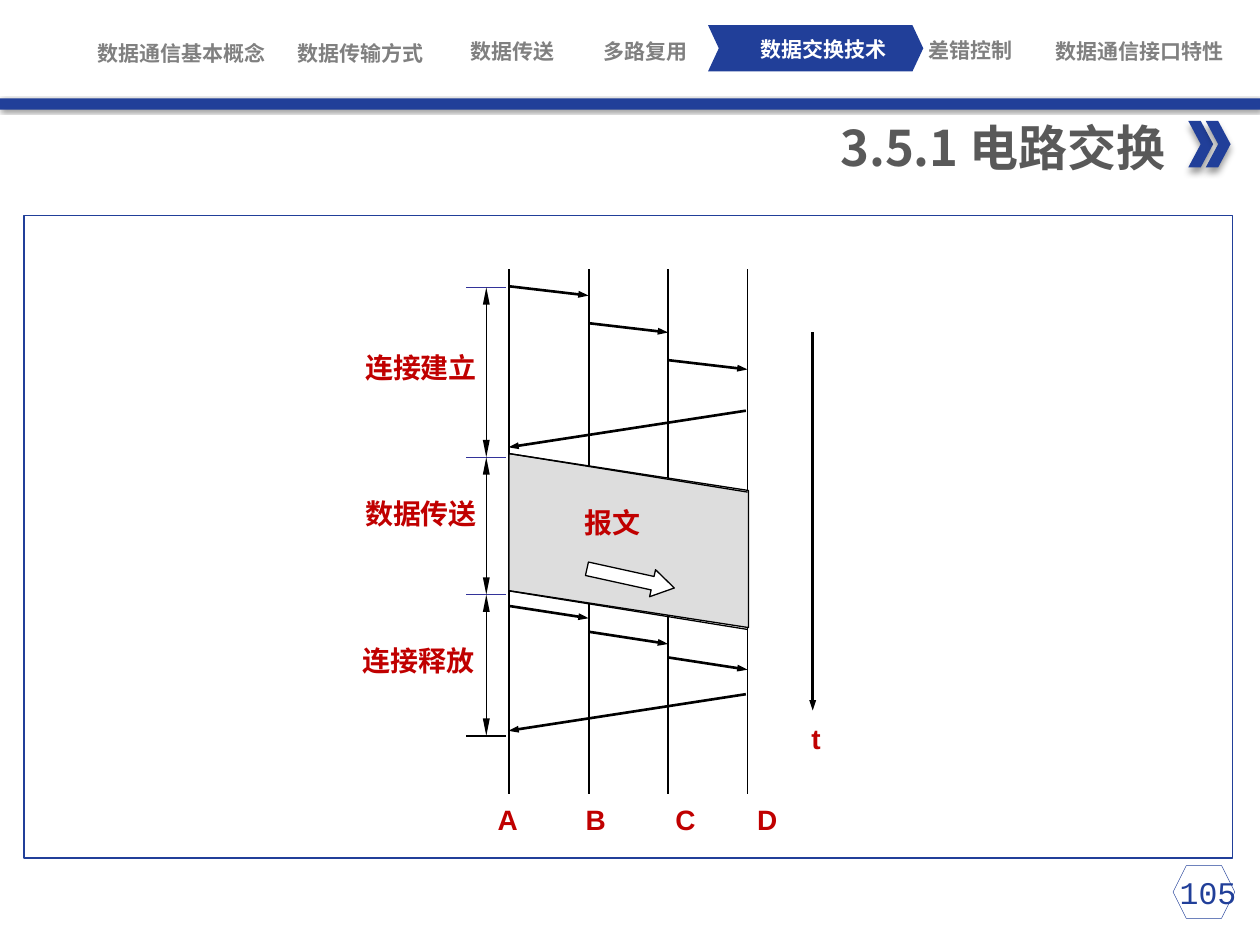
from itertools import pairwise

from lxml.etree import SubElement
from pptx import Presentation
from pptx.dml.color import RGBColor
from pptx.enum.shapes import MSO_CONNECTOR, MSO_SHAPE
from pptx.enum.text import MSO_ANCHOR, MSO_AUTO_SIZE, PP_ALIGN
from pptx.oxml.ns import qn
from pptx.util import Pt

BLUE = RGBColor(0x21, 0x3F, 0x99)
TICK_BLUE = RGBColor(0x33, 0x33, 0x99)
RED = RGBColor(0xC0, 0x00, 0x00)
GRAY = RGBColor(0x80, 0x80, 0x80)
TITLE_GRAY = RGBColor(0x59, 0x59, 0x59)
LIGHT_GRAY = RGBColor(0xDD, 0xDD, 0xDD)
WHITE = RGBColor(0xFF, 0xFF, 0xFF)
BLACK = RGBColor(0x00, 0x00, 0x00)

CJK_FONT = "Noto Sans CJK SC"
HOST_X = [291 + 45.4 * host for host in range(4)]

# Section label, left, top, width
SECTIONS = [
    ("数据通信基本概念", 52, 23, 104),
    ("数据传输方式", 154, 23, 104),
    ("数据传送", 247, 22.2, 91.5),
    ("多路复用", 317, 22.2, 104),
    ("数据交换技术", 418.5, 21, 104),
    ("差错控制", 502.5, 21.2, 104),
    ("数据通信接口特性", 582, 22.2, 138),
]
CURRENT_SECTION = "数据交换技术"


def format_paragraph(paragraph, size, color, font="Arial", bold=True):
    for run in paragraph.runs:
        run.font.size = Pt(size)
        run.font.bold = bold
        run.font.name = font
        run.font.color.rgb = color
        SubElement(run.font._element, qn("a:ea"), typeface=CJK_FONT)


def add_text(slide, text, left, top, width, height, size=16, color=RED,
             font="Arial", bold=True, align=None, wrap=False, inset=None):
    box = slide.shapes.add_textbox(Pt(left), Pt(top), Pt(width), Pt(height))
    frame = box.text_frame
    frame.word_wrap = wrap
    frame.auto_size = MSO_AUTO_SIZE.SHAPE_TO_FIT_TEXT
    if inset is not None:
        frame.margin_left = frame.margin_right = Pt(inset)
        frame.margin_top = frame.margin_bottom = Pt(inset)
        frame.vertical_anchor = MSO_ANCHOR.MIDDLE
    frame.text = text
    paragraph = frame.paragraphs[0]
    paragraph.alignment = align
    format_paragraph(paragraph, size, color, font, bold)
    return paragraph


def add_shape(slide, kind, left, top, width, height, fill=None, line=None,
              line_width=0.75, adjustments=(), rotation=0):
    shape = slide.shapes.add_shape(kind, Pt(left), Pt(top), Pt(width), Pt(height))
    shape.shadow.inherit = False
    shape.rotation = rotation
    for index, value in enumerate(adjustments):
        shape.adjustments[index] = value
    if fill is None:
        shape.fill.background()
    else:
        shape.fill.solid()
        shape.fill.fore_color.rgb = fill
    if line is None:
        shape.line.fill.background()
    else:
        shape.line.color.rgb = line
        shape.line.width = Pt(line_width)
    return shape


def add_shadow(shape, blur, distance, degrees):
    effects = shape._element.spPr.find(qn("a:effectLst"))
    shadow = SubElement(effects, qn("a:outerShdw"), blurRad=str(Pt(blur)),
                        dist=str(Pt(distance)), dir=str(degrees * 60000),
                        algn="t", rotWithShape="0")
    color = SubElement(shadow, qn("a:srgbClr"), val=str(BLACK))
    SubElement(color, qn("a:alpha"), val="40000")


def add_line(slide, x1, y1, x2, y2, color=BLACK, width=0.75, ends=(), length="med"):
    line = slide.shapes.add_connector(MSO_CONNECTOR.STRAIGHT,
                                      Pt(x1), Pt(y1), Pt(x2), Pt(y2))
    line.line.color.rgb = color
    line.line.width = Pt(width)
    for end in ends:
        SubElement(line.line._get_or_add_ln(), qn(f"a:{end}"),
                   type="triangle", w="sm", len=length)
    SubElement(line._element.spPr, qn("a:effectLst"))


def add_message(slide, x1, y1, x2, y2):
    add_line(slide, x1, y1, x2, y2, width=1.5, ends=["tailEnd"])


def add_signalling(slide, first_y, step, drop, reply_y):
    """Hop-by-hop request from A to D, then the reply straight back to A."""
    for hop, (sender, receiver) in enumerate(pairwise(HOST_X)):
        y = first_y + step * hop
        add_message(slide, sender, y, receiver, y + drop)
    add_message(slide, HOST_X[3] - 1, reply_y, HOST_X[0] - 0.5, reply_y + 20.9)


def add_header(slide):
    # Section navigation
    add_shape(slide, MSO_SHAPE.CHEVRON, 404.6, 14.4, 123, 26.4, BLUE,
              adjustments=[0.234])
    for label, left, top, width in SECTIONS:
        color = WHITE if label == CURRENT_SECTION else GRAY
        add_text(slide, label, left, top, width, 14.4, 12, color,
                 "Roboto Condensed", align=PP_ALIGN.CENTER, wrap=True, inset=0)
    bar = add_shape(slide, MSO_SHAPE.RECTANGLE, 0, 56.2, 720, 6.5, BLUE)
    add_shadow(bar, 2, 1, 45)

    # Title and its double chevron
    title = slide.shapes.title
    title.left, title.top, title.width, title.height = (
        Pt(460), Pt(63.4), Pt(213.2), Pt(41))
    title.text_frame.text = "3.5.1 电路交换"
    title.text_frame.word_wrap = False
    title.text_frame.vertical_anchor = MSO_ANCHOR.TOP
    title.text_frame.paragraphs[0].alignment = PP_ALIGN.RIGHT
    format_paragraph(title.text_frame.paragraphs[0], 28, TITLE_GRAY, CJK_FONT)
    for left in (679, 689):
        chevron = add_shape(slide, MSO_SHAPE.CHEVRON, left, 69.1, 14.2, 26.6, BLUE)
        add_shadow(chevron, 4, 3, 90)


def add_phases(slide):
    ticks = [164.2, 261.3, 339.8, 420.5]
    for y, color in zip(ticks, [TICK_BLUE] * 3 + [BLACK]):
        add_line(slide, 266.4, y, 289.2, y, color)
    for start, end in pairwise(ticks):
        add_line(slide, 277.9, start, 277.9, end, ends=["headEnd", "tailEnd"],
                 length="lg")
    for label, left, top in [("连接建立", 201.6, 198.7), ("数据传送", 201.6, 282.2),
                             ("连接释放", 200.2, 366.5)]:
        add_text(slide, label, left, top, 79.2, 24.5).line_spacing = 0.9


def add_hosts(slide):
    for x in HOST_X:
        add_line(slide, x, 153.8, x, 454, width=1)
    names = add_text(slide, "A\tB\tC\tD", 277.2, 455, 182, 26.6)
    tabs = SubElement(names._p.get_or_add_pPr(), qn("a:tabLst"))
    for stop in (50.4, 101.6, 148.4):
        SubElement(tabs, qn("a:tab"), pos=str(Pt(stop)), algn="l")


def add_data_block(slide):
    add_shape(slide, MSO_SHAPE.PARALLELOGRAM, 309.6, 240.5, 99.4, 136.8,
              LIGHT_GRAY, BLACK, adjustments=[0.212], rotation=90)
    add_text(slide, "报文", 326.9, 285.1, 47.5, 27.4)
    add_shape(slide, MSO_SHAPE.RIGHT_ARROW, 334.8, 322.6, 51.1, 15.8, WHITE, BLACK,
              adjustments=[0.5, 0.803], rotation=12.4)
    for y in (259.2, 337.7):
        add_line(slide, HOST_X[0], y, HOST_X[3], y + 22)


def add_footer(slide):
    add_text(slide, "105", 659, 495.4, 62.6, 28.8, 18, BLUE, "Courier New",
             bold=False, align=PP_ALIGN.CENTER, wrap=True)
    add_shape(slide, MSO_SHAPE.HEXAGON, 670.3, 494.6, 35.3, 30.2, line=BLUE,
              line_width=0.25)


def main():
    presentation = Presentation()
    presentation.slide_width, presentation.slide_height = Pt(720), Pt(540)
    slide = presentation.slides.add_slide(presentation.slide_layouts[5])

    add_header(slide)
    add_phases(slide)
    add_hosts(slide)
    add_data_block(slide)

    # Connection set-up and release
    add_signalling(slide, 163.6, 21.1, 5.3, 234.7)
    add_signalling(slide, 346.3, 14.7, 7, 396.7)

    # Time axis
    add_message(slide, 464.4, 190, 464.4, 406)
    add_text(slide, "t", 456.5, 409, 20.2, 26.6)

    # Frame around the diagram
    add_shape(slide, MSO_SHAPE.RECTANGLE, 13.7, 123.1, 690.5, 367.2, line=BLUE)
    add_footer(slide)
    presentation.save("out.pptx")


if __name__ == "__main__":
    main()
